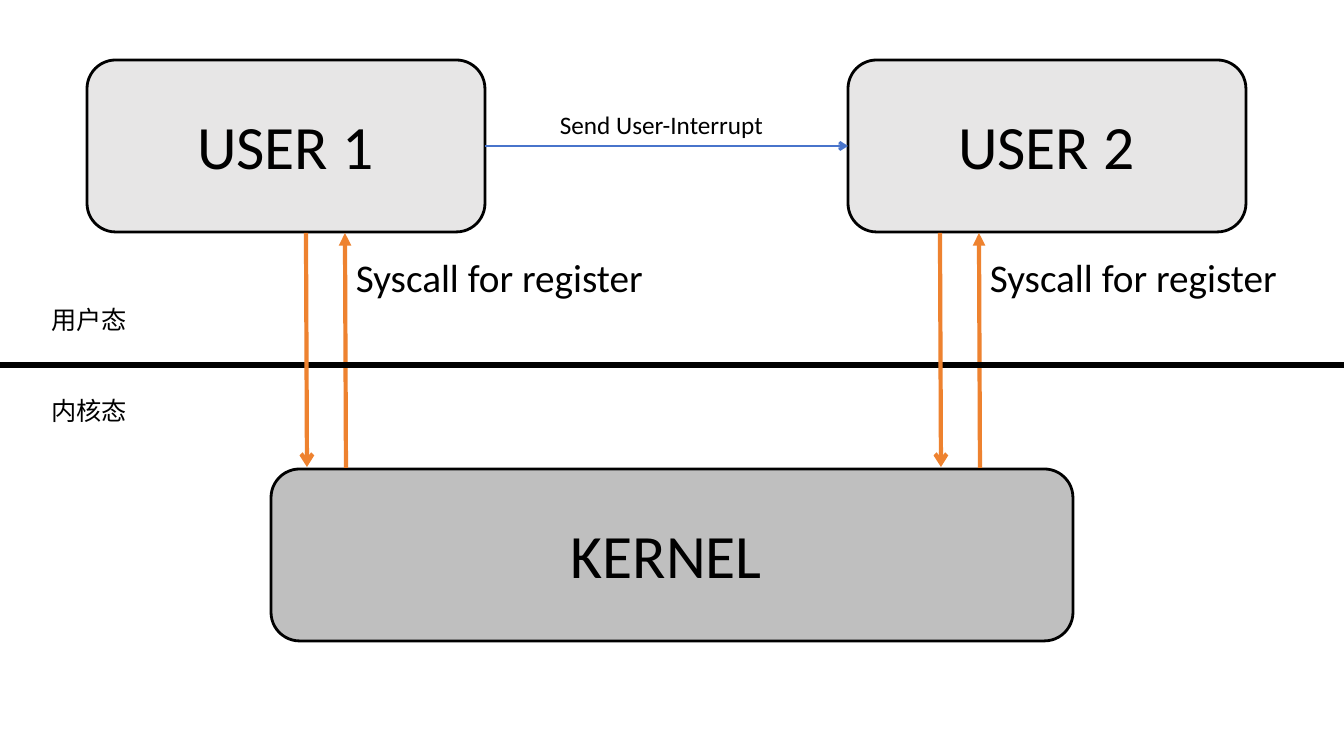
import pptx
import pptx.util
import pptx.dml.color
import pptx.enum.shapes
import pptx.enum.text
import lxml.etree

COLORS = {"ink": "000000", "user": "E7E6E6", "kernel": "BFBFBF",
          "call": "EE822F", "send": "4874CB"}
FONT = "Calibri"
WIDE, HIGH = 1344, 756
SCALE = 914400 / 100.8

USERS = [("USER 1", 87), ("USER 2", 848)]
USER_TOP, USER_WIDE, BOX_HIGH = 60, 398, 172
KERNEL = ("KERNEL", 271, 469, 802)
NAME_WIDE, NAME_HIGH = 215, 85
KERNEL_NAME = 559
CALLS = [306, 940]
CALL_TEXT = "Syscall for register"
CALL_GAP = 39
MODES = [("内核态", 390), ("用户态", 299)]
SPLIT = 365
SEND_TEXT = "Send User-Interrupt"
SEND_Y = 146

deck = pptx.Presentation()


def px(n):
    return pptx.util.Emu(round(n * SCALE))


def rgb(name):
    return pptx.dml.color.RGBColor.from_string(COLORS[name])


deck.slide_width, deck.slide_height = px(WIDE), px(HIGH)
slide = deck.slides.add_slide(deck.slide_layouts[6])


def add_box(left, top, wide, fill):
    kind = pptx.enum.shapes.MSO_SHAPE.FLOWCHART_ALTERNATE_PROCESS
    box = slide.shapes.add_shape(kind, px(left), px(top), px(wide), px(BOX_HIGH))
    box.shadow.inherit = False
    box.fill.solid()
    box.fill.fore_color.rgb = rgb(fill)
    box.line.color.rgb = rgb("ink")
    box.line.width = pptx.util.Pt(2)


def add_line(start, end, color, width, tip=None, style=None):
    kind = pptx.enum.shapes.MSO_CONNECTOR.STRAIGHT
    line = slide.shapes.add_connector(kind, *map(px, start + end))
    line.line.color.rgb = rgb(color)
    line.line.width = pptx.util.Pt(width)
    props = line._element.spPr
    if tip:
        mark = lxml.etree.SubElement(line.line._ln, pptx.oxml.ns.qn("a:" + tip))
        mark.set("type", style)
    lxml.etree.SubElement(props, pptx.oxml.ns.qn("a:effectLst"))


def add_text(text, left, top, wide, high, size=18, center=False):
    box = slide.shapes.add_textbox(px(left), px(top), px(wide), px(high))
    frame = box.text_frame
    frame.word_wrap = True
    frame.auto_size = pptx.enum.text.MSO_AUTO_SIZE.SHAPE_TO_FIT_TEXT
    para = frame.paragraphs[0]
    if center:
        para.alignment = pptx.enum.text.PP_ALIGN.CENTER
    run = para.add_run()
    run.text = text
    run.font.size = pptx.util.Pt(size)
    run.font.name = FONT
    run.font.color.rgb = rgb("ink")


user_end = USER_TOP + BOX_HIGH + 1
name, left, top, wide = KERNEL
for _, x in USERS:
    add_box(x, USER_TOP, USER_WIDE, "user")
add_box(left, top, wide, "kernel")

for x in CALLS:
    back = x + CALL_GAP
    add_line((back, user_end), (back + 1, top - 1), "call", 3, "headEnd", "triangle")
add_line((0, SPLIT), (WIDE, SPLIT), "ink", 4)
add_line((USERS[0][1] + USER_WIDE, SEND_Y), (USERS[1][1], SEND_Y),
         "send", 2, "tailEnd", "arrow")

for text, y in MODES:
    add_text(text, 27, y, 124, 40, center=True)
inset = (BOX_HIGH - NAME_HIGH) // 2
for text, x in USERS:
    add_text(text, x + (USER_WIDE - NAME_WIDE) // 2, USER_TOP + inset,
             NAME_WIDE, NAME_HIGH, size=44, center=True)
add_text(name, KERNEL_NAME, top + inset, NAME_WIDE, NAME_HIGH, size=44, center=True)
for x in CALLS:
    add_text(CALL_TEXT, x + CALL_GAP + 1, 248, 327, 57, size=28)
add_text(SEND_TEXT, 550, 104, 233, 40)

for x in CALLS:
    add_line((x, user_end), (x + 1, top - 2), "call", 3, "tailEnd", "arrow")

deck.save("out.pptx")
